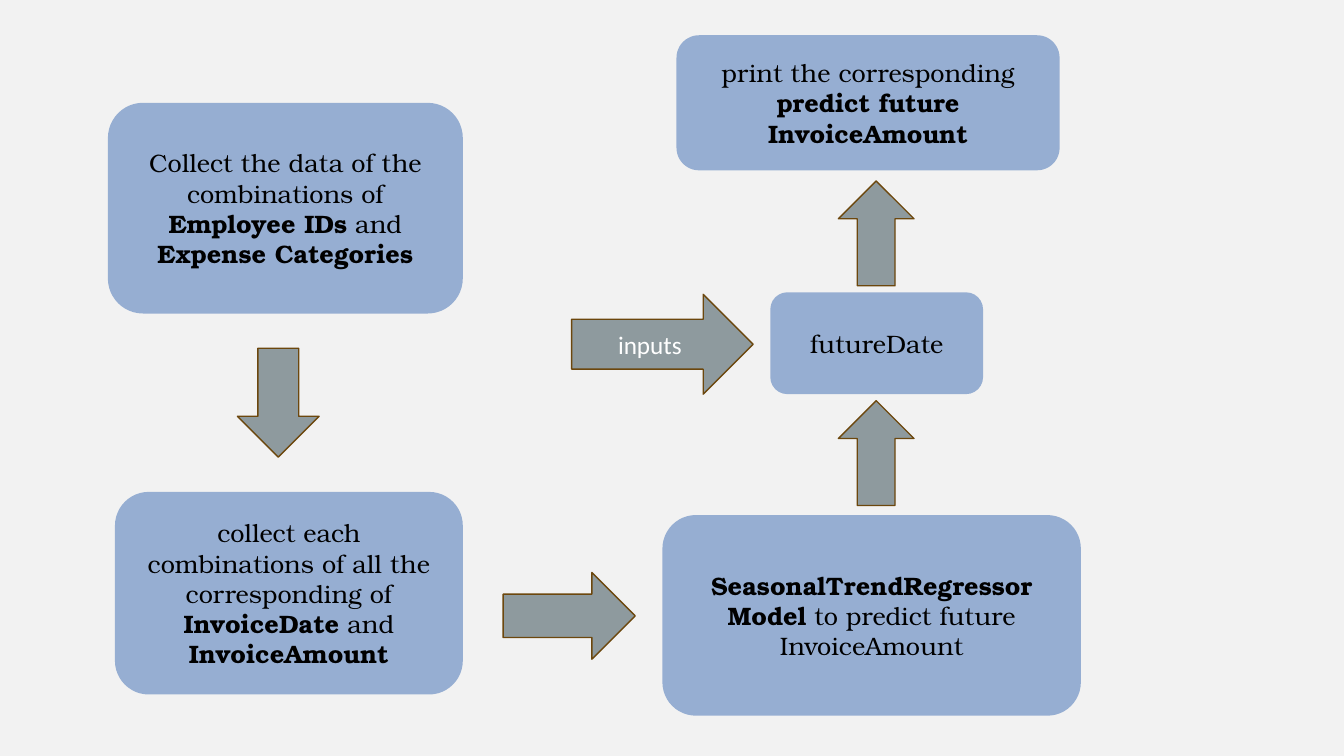
import pptx
import pptx.dml.color
import pptx.enum.shapes
import pptx.enum.text
import pptx.util

Inches = pptx.util.Inches
SHAPES = pptx.enum.shapes.MSO_SHAPE

THEME = {
    "background": "F2F2F2",
    "box": "96AED2",
    "arrow": "8E9A9E",
    "arrow_line": "6C470D",
    "line_width": 1,
    "box_font": {"name": "TeX Gyre Bonum", "size": 18, "color": "000000"},
    "arrow_font": {"name": "Calibri", "size": 18, "color": "FFFFFF"},
}

# Each box: (left, top, width, height), then runs of (text, bold)
BOXES = [
    ((1.07, 1.02, 3.52, 2.09), [
        ("Collect the data of the combinations of ", False),
        ("Employee IDs", True),
        (" and ", False),
        ("Expense Categories", True),
    ]),
    ((1.14, 4.88, 3.45, 2.01), [
        ("collect each combinations of all the corresponding of ", False),
        ("InvoiceDate", True),
        (" and ", False),
        ("InvoiceAmount", True),
    ]),
    ((6.57, 5.11, 4.15, 1.99), [
        ("SeasonalTrendRegressor Model", True),
        (" to predict future InvoiceAmount", False),
    ]),
    ((7.64, 2.9, 2.11, 1.01), [("futureDate", False)]),
    ((6.71, 0.35, 3.8, 1.34), [
        ("print the corresponding ", False),
        ("predict future InvoiceAmount", True),
    ]),
]

# Each arrow: place before rotation, rotation in degrees, runs
ARROWS = [
    ((2.22, 3.59, 1.08, 0.81), 90, []),
    ((4.99, 5.68, 1.31, 0.86), 0, []),
    ((8.17, 4.12, 1.04, 0.75), 270, []),
    ((5.67, 2.92, 1.8, 0.99), 0, [("inputs", False)]),
    ((8.17, 1.94, 1.04, 0.75), 270, []),
]


def color(name):
    return pptx.dml.color.RGBColor.from_string(name)


def write_runs(shape, runs, font):
    frame = shape.text_frame
    frame.word_wrap = True
    frame.vertical_anchor = pptx.enum.text.MSO_ANCHOR.MIDDLE
    paragraph = frame.paragraphs[0]
    paragraph.alignment = pptx.enum.text.PP_ALIGN.CENTER
    for text, bold in runs:
        run = paragraph.add_run()
        run.text = text
        values = {"name": font["name"], "size": pptx.util.Pt(font["size"]), "bold": bold}
        for attribute, value in values.items():
            setattr(run.font, attribute, value)
        run.font.color.rgb = color(font["color"])


def add_filled_shape(slide, kind, place, fill, runs, font):
    shape = slide.shapes.add_shape(kind, *map(Inches, place))
    shape.shadow.inherit = False
    shape.fill.solid()
    shape.fill.fore_color.rgb = color(fill)
    write_runs(shape, runs, font)
    return shape


def main():
    presentation = pptx.Presentation()
    presentation.slide_width = Inches(13.33)
    presentation.slide_height = Inches(7.5)
    blank_layout = presentation.slide_layouts[6]
    slide = presentation.slides.add_slide(blank_layout)
    slide.background.fill.solid()
    slide.background.fill.fore_color.rgb = color(THEME["background"])

    for place, runs in BOXES:
        box = add_filled_shape(slide, SHAPES.ROUNDED_RECTANGLE, place,
                               THEME["box"], runs, THEME["box_font"])
        box.line.fill.background()

    for place, rotation, runs in ARROWS:
        arrow = add_filled_shape(slide, SHAPES.RIGHT_ARROW, place,
                                 THEME["arrow"], runs, THEME["arrow_font"])
        arrow.rotation = rotation
        arrow.line.color.rgb = color(THEME["arrow_line"])
        arrow.line.width = pptx.util.Pt(THEME["line_width"])

    presentation.save("out.pptx")


if __name__ == "__main__":
    main()
